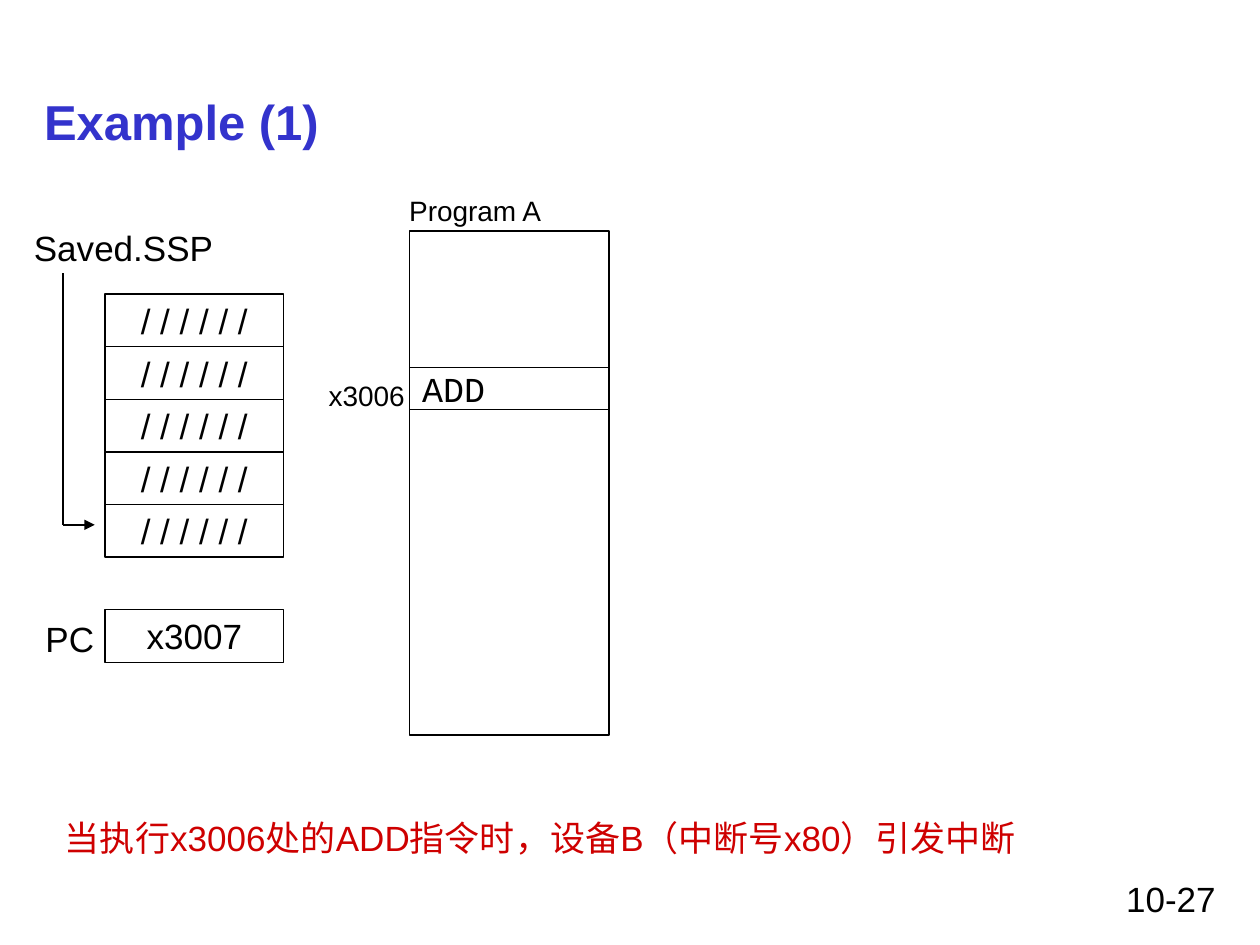
from lxml import etree
from pptx import Presentation
from pptx.dml.color import RGBColor
from pptx.enum.shapes import MSO_CONNECTOR, MSO_SHAPE
from pptx.enum.text import MSO_ANCHOR, MSO_AUTO_SIZE, PP_ALIGN
from pptx.oxml.ns import qn
from pptx.util import Cm, Pt

RECT = MSO_SHAPE.RECTANGLE
LINE = MSO_CONNECTOR.STRAIGHT
GROW, FIXED = MSO_AUTO_SIZE.SHAPE_TO_FIT_TEXT, MSO_AUTO_SIZE.NONE
MID, TOP = MSO_ANCHOR.MIDDLE, MSO_ANCHOR.TOP
LEFT, MIDDLE, RIGHT = PP_ALIGN.LEFT, PP_ALIGN.CENTER, PP_ALIGN.RIGHT
BLACK, BLUE, RED = "000000", "3333CC", "CE0000"
SANS, MONO = "Arial", "Courier New"


def color(code):
    return RGBColor.from_string(code)


def write(shape, text, size=20, align=LEFT, anchor=TOP, tint=BLACK,
          face=SANS, bold=False, wrap=False):
    frame = shape.text_frame
    frame.text = text
    frame.word_wrap = wrap
    frame.auto_size = FIXED if wrap else GROW
    frame.vertical_anchor = anchor
    para = frame.paragraphs[0]
    para.alignment = align
    font = para.runs[0].font
    font.size, font.name, font.bold = Pt(size), face, bold
    font.color.rgb = color(tint)


def label(slide, text, left, top, width, height, **style):
    box = slide.shapes.add_textbox(Cm(left), Cm(top), Cm(width), Cm(height))
    write(box, text, **style)


def cell(slide, left, top, width, height, text="", **style):
    box = slide.shapes.add_shape(RECT, Cm(left), Cm(top), Cm(width), Cm(height))
    box.shadow.inherit = False
    box.fill.background()
    box.line.color.rgb = color(BLACK)
    box.line.width = Pt(0.75)
    if text:
        write(box, text, anchor=MID, wrap=True, **style)


def stroke(slide, start, end, arrow=False):
    link = slide.shapes.add_connector(LINE, *map(Cm, start + end))
    link.line.color.rgb = color(BLACK)
    link.line.width = Pt(1.5)
    if arrow:
        etree.SubElement(link.line._get_or_add_ln(), qn("a:tailEnd"), type="triangle")
    etree.SubElement(link._element.spPr, qn("a:effectLst"))


def draw_stack(slide):
    left, top, width, row = 2.12, 5.93, 3.6, 1.06
    for i in range(5):
        cell(slide, left, top + i * row, width, row, "/ / / / / /", align=MIDDLE)
    cell(slide, left, top + 6 * row, width, row, "x3007", align=MIDDLE)
    label(slide, "PC", 0.65, 12.33, 1.5, 1.11, align=RIGHT)
    label(slide, "Saved.SSP", 0.43, 4.45, 4.12, 1.11, align=RIGHT)
    bend = (1.27, 10.58)
    stroke(slide, bend, (1.27, 5.5))
    stroke(slide, bend, (1.91, 10.58), arrow=True)


def draw_code(slide):
    left, width = 8.26, 4.02
    cell(slide, left, 4.66, width, 10.16)
    cell(slide, left, 7.41, width, 0.85, "ADD", face=MONO)
    label(slide, "Program A", 8, 3.77, 3.2, 0.93, size=16)
    label(slide, "x3006", 6.35, 7.5, 2.06, 0.93, size=16, align=RIGHT)


def main():
    deck = Presentation()
    deck.slide_width, deck.slide_height = Cm(25.4), Cm(19.05)
    slide = deck.slides.add_slide(deck.slide_layouts[6])
    label(slide, "Example (1)", 0.64, 1.69, 24.13, 1.48, size=28,
          anchor=MID, tint=BLUE, bold=True, wrap=True)
    draw_stack(slide)
    draw_code(slide)
    label(slide, "当执行x3006处的ADD指令时，设备B（中断号x80）引发中断",
          1.06, 16.33, 21.03, 1.11, tint=RED)
    label(slide, "10-27", 18.2, 17.57, 6.56, 1.06, align=RIGHT, wrap=True)
    deck.save("out.pptx")


if __name__ == "__main__":
    main()
